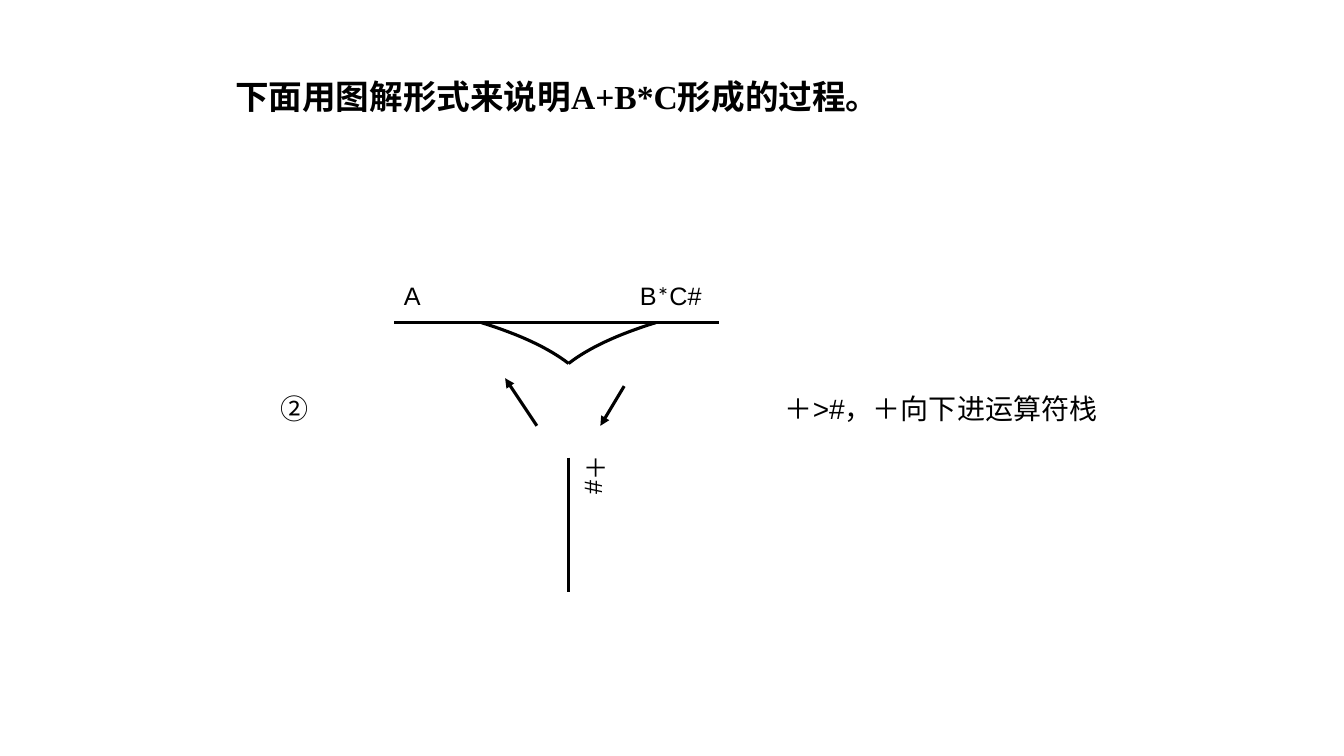
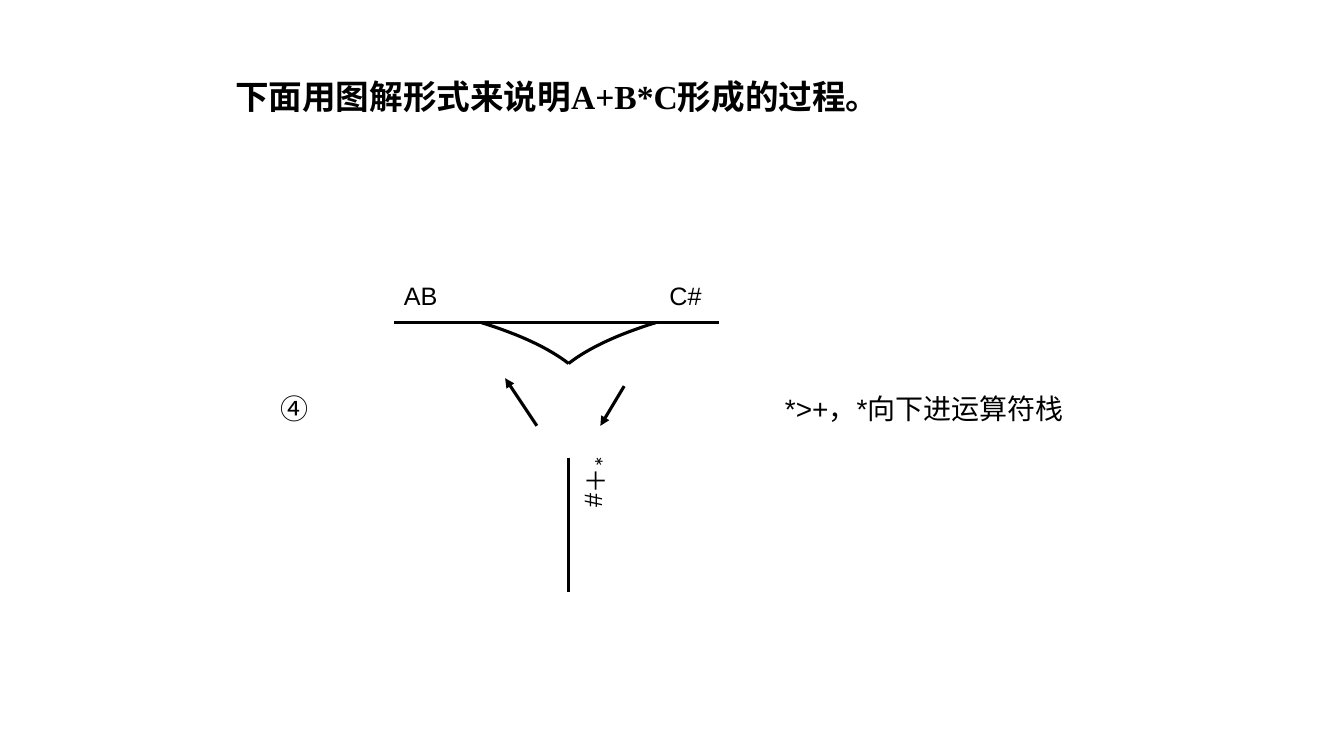
from lxml.etree import SubElement
from pptx import Presentation
from pptx.dml.color import RGBColor
from pptx.enum.shapes import MSO_CONNECTOR
from pptx.enum.text import MSO_ANCHOR, MSO_AUTO_SIZE, PP_ALIGN
from pptx.oxml.ns import qn
from pptx.util import Cm, Pt

BLACK = RGBColor(0x00, 0x00, 0x00)
WHITE = RGBColor(0xFF, 0xFF, 0xFF)

LATIN_FONT = "Arial"
STAR_FONT = "Calibri"
TITLE_FONT = "Times New Roman"
CHINESE_FONT = "Noto Sans CJK SC"
LINE_WIDTH = Pt(2.25)

TITLE = "下面用图解形式来说明A+B*C形成的过程。"
TITLE_ONLY_LAYOUT = 5

# Per slide: step number, output, remaining input, operator stack, explanation
STEPS = [
    ("②", ["A"], ["B", "*", "C#"], ["＋#"], "＋>#，＋向下进运算符栈"),
    ("④", ["AB"], ["C#"], ["*", "＋#"], "*>+，*向下进运算符栈"),
]


def format_run(run, size, font, bold=False):
    run.font.size = Pt(size)
    run.font.name = font
    run.font.bold = bold
    run.font.color.rgb = BLACK
    east_asian = SubElement(run.font._element, qn("a:ea"))
    east_asian.set("typeface", CHINESE_FONT)


def add_title(slide, left, top, width, height):
    title = slide.shapes.title
    title.left, title.top = Cm(left), Cm(top)
    title.width, title.height = Cm(width), Cm(height)
    text_frame = title.text_frame
    text_frame.text = TITLE
    text_frame.word_wrap = True
    text_frame.auto_size = MSO_AUTO_SIZE.NONE
    text_frame.vertical_anchor = MSO_ANCHOR.TOP
    paragraph = text_frame.paragraphs[0]
    paragraph.alignment = PP_ALIGN.LEFT
    paragraph.line_spacing = 0.9
    format_run(paragraph.runs[0], 24, TITLE_FONT, bold=True)


def add_label(slide, left, top, width, height, pieces, size=18,
              font=LATIN_FONT, alignment=PP_ALIGN.LEFT):
    """Add one line of text; a piece that is only a star gets its own font."""
    label = slide.shapes.add_textbox(Cm(left), Cm(top), Cm(width), Cm(height))
    label.text_frame.word_wrap = True
    paragraph = label.text_frame.paragraphs[0]
    paragraph.alignment = alignment
    for piece in pieces:
        run = paragraph.add_run()
        run.text = piece
        format_run(run, size, STAR_FONT if piece == "*" else font)
    return label


def add_line(slide, start, end, arrow=False):
    points = [Cm(value) for value in (*start, *end)]
    connector = slide.shapes.add_connector(MSO_CONNECTOR.STRAIGHT, *points)
    connector.line.color.rgb = BLACK
    connector.line.width = LINE_WIDTH
    if arrow:
        SubElement(connector.line._get_or_add_ln(), qn("a:tailEnd")).set("type", "triangle")
    SubElement(connector.element.spPr, qn("a:effectLst"))


def add_funnel_side(slide, center, rim, side, steps=16):
    """Draw one curved side (-1 left, 1 right) from the rim down to the centre."""
    start, bend, end = (2.2, 0), (0.75, 0.45), (0, 1.03)
    points = []
    for step in range(steps + 1):
        t = step / steps
        across, down = ((1 - t) ** 2 * a + 2 * t * (1 - t) * b + t ** 2 * c
                        for a, b, c in zip(start, bend, end))
        points.append((Cm(center + side * across), Cm(rim + down)))
    builder = slide.shapes.build_freeform(*points[0])
    builder.add_line_segments(points[1:], close=False)
    curve = builder.convert_to_shape()
    curve.shadow.inherit = False
    curve.fill.background()
    curve.line.color.rgb = BLACK
    curve.line.width = LINE_WIDTH


def add_junction(slide, left, top, width, height, output, remaining, stack):
    """Draw the track with output and input on top and the operator stack below."""
    center, rim = left + 4.4, top + 1.2
    add_line(slide, (left, rim), (left + width, rim))
    for side in (-1, 1):
        add_funnel_side(slide, center, rim, side)
    add_line(slide, (center, top + 4.6), (center, top + height))
    add_line(slide, (center + 1.4, top + 2.8), (center + 0.8, top + 3.8), arrow=True)
    add_line(slide, (center - 0.8, top + 3.8), (center - 1.6, top + 2.6), arrow=True)

    add_label(slide, left, top, 2.8, 1, output)
    add_label(slide, left + width - 3.6, top, 3.4, 1, remaining, alignment=PP_ALIGN.RIGHT)
    stack_label = add_label(slide, center - 0.1, top + 4.3, 1.27, 3.7, stack)
    stack_label.element.txBody.bodyPr.set("vert", "eaVert")


def add_step_slide(presentation, number, output, remaining, stack, explanation):
    slide = presentation.slides.add_slide(presentation.slide_layouts[TITLE_ONLY_LAYOUT])
    add_title(slide, 5.67, 1.9, 22.75, 1.83)
    add_junction(slide, 9.93, 6.93, 8.2, 8, output, remaining, stack)
    add_label(slide, 6.12, 9.73, 2.6, 1.1, [number], 20, CHINESE_FONT, PP_ALIGN.CENTER)
    note = add_label(slide, 19.53, 9.73, 10.1, 1.1, [explanation], 20)
    note.fill.solid()
    note.fill.fore_color.rgb = WHITE


def main():
    presentation = Presentation()
    presentation.slide_width = Cm(33.87)
    presentation.slide_height = Cm(19.05)
    for step in STEPS:
        add_step_slide(presentation, *step)
    presentation.save("out.pptx")


if __name__ == "__main__":
    main()
